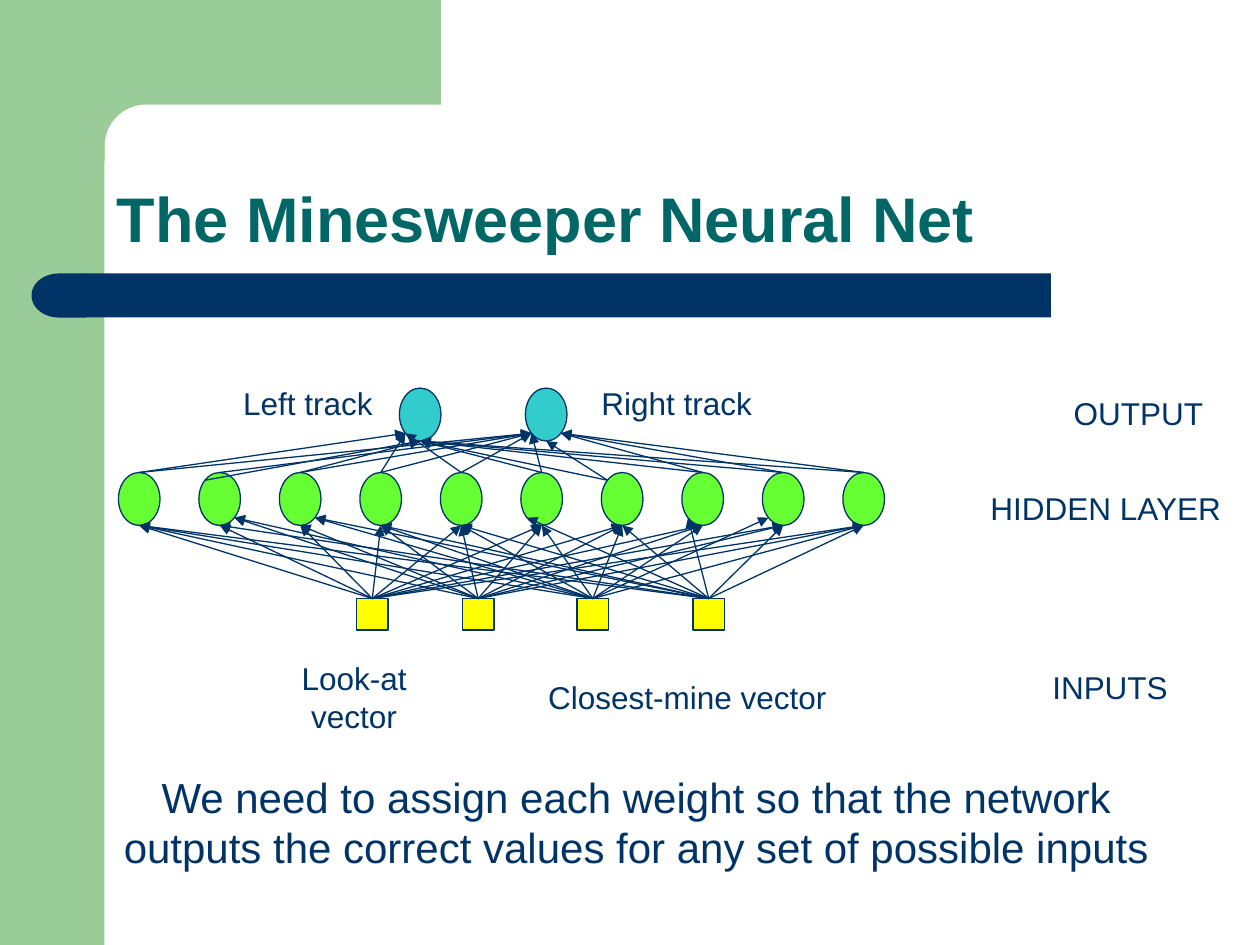
import math

from lxml import etree
from pptx import Presentation
from pptx.dml.color import RGBColor
from pptx.enum.shapes import MSO_CONNECTOR, MSO_SHAPE
from pptx.enum.text import MSO_ANCHOR, MSO_AUTO_SIZE, PP_ALIGN
from pptx.oxml.ns import qn
from pptx.util import Inches, Pt

RECTANGLE, ELLIPSE = MSO_SHAPE.RECTANGLE, MSO_SHAPE.OVAL
DELAY = MSO_SHAPE.FLOWCHART_DELAY
STRAIGHT = MSO_CONNECTOR.STRAIGHT
MIDDLE, BOTTOM = MSO_ANCHOR.MIDDLE, MSO_ANCHOR.BOTTOM
LEFT, CENTER = PP_ALIGN.LEFT, PP_ALIGN.CENTER
FIT_SHAPE = MSO_AUTO_SIZE.SHAPE_TO_FIT_TEXT

COLORS = {
    "band": "99CC99",
    "ink": "003366",
    "title": "006666",
    "output": "33CCCC",
    "hidden": "66FF33",
    "input": "FFFF00",
}
NODE_WIDTH, NODE_HEIGHT, INPUT_SIZE = 0.33, 0.42, 0.25
DIAGONAL = math.sqrt(0.5)
SITES = {
    "T": (0, -1),
    "B": (0, 1),
    "K": (-DIAGONAL, -DIAGONAL),
    "L": (-DIAGONAL, DIAGONAL),
    "R": (DIAGONAL, DIAGONAL),
}
INPUT_ENDS = ["BBBBBBBBBB", "BRBBBBBBBB", "BRRBBBBBLB", "BBRBBLBLBB"]
OUTPUT_STARTS = ["TKTTTTKTTT", "TTTTTTKTTT"]
OUTPUT_ENDS = ["LBBLLBBBBB", "LLLLLLBRRR"]
LABELS = [
    ("Left track", (1.83, 3, 1.23, 0.4)),
    ("Right track", (4.67, 3, 1.4, 0.4)),
    ("Look-at vector", (1.92, 5.33, 1.78, 0.4)),
    ("Closest-mine vector", (4.25, 5.33, 2.41, 0.4)),
    ("OUTPUT", (8.42, 3.08, 1.23, 0.4)),
    ("HIDDEN LAYER", (7.75, 3.83, 2.05, 0.4)),
    ("INPUTS", (8.25, 5.25, 1.12, 0.4)),
]


def color(name):
    return RGBColor.from_string(COLORS[name])


def paint(shape, fill, outlined=False):
    shape.shadow.inherit = False
    shape.fill.solid()
    shape.fill.fore_color.rgb = color(fill)
    if outlined:
        shape.line.color.rgb = color("ink")
        shape.line.width = Pt(0.75)
    else:
        shape.line.fill.background()
    return shape


def add_block(page, kind, box, fill, outlined=False):
    shape = page.shapes.add_shape(kind, *map(Inches, box))
    return paint(shape, fill, outlined)


def add_text(page, text, box, size, ink="ink", bold=False, align=CENTER,
             anchor=MIDDLE, wrap=False, spacing=1.0, fit=FIT_SHAPE):
    frame = page.shapes.add_textbox(*map(Inches, box)).text_frame
    frame_format = {"word_wrap": wrap, "auto_size": fit, "vertical_anchor": anchor}
    for name, value in frame_format.items():
        setattr(frame, name, value)
    para = frame.paragraphs[0]
    para.alignment = align
    para.line_spacing = spacing
    span = para.add_run()
    span.text = text
    for name, value in {"name": "Arial", "size": Pt(size), "bold": bold}.items():
        setattr(span.font, name, value)
    span.font.color.rgb = color(ink)


def add_arrow(page, start, end):
    arrow = page.shapes.add_connector(STRAIGHT, *map(Inches, (*start, *end)))
    arrow.line.color.rgb = color("ink")
    arrow.line.width = Pt(0.75)
    etree.SubElement(arrow.line._get_or_add_ln(), qn("a:tailEnd"), type="triangle")
    etree.SubElement(arrow._element.spPr, qn("a:effectLst"))
    return arrow


def node_site(box, site):
    left, top, width, height = box
    across, down = SITES[site]
    return left + width * (1 + across) / 2, top + height * (1 + down) / 2


def add_corner(page, box):
    left, top, width, height = box
    inner_left, inner_top, radius = 0.83, 0.83, 0.33
    arc = [
        (inner_left + radius * (1 - math.sin(angle)),
         inner_top + radius * (1 - math.cos(angle)))
        for angle in (math.pi / 2 * step / 16 for step in range(17))
    ]
    right, bottom = left + width, top + height
    points = [(right, inner_top), *arc, (inner_left, bottom), (left, bottom), (left, top)]
    builder = page.shapes.build_freeform(Inches(right), Inches(top))
    builder.add_line_segments([(Inches(x), Inches(y)) for x, y in points], close=True)
    paint(builder.convert_to_shape(), "band")


def add_frame(page, box):
    left, top, width, height = box
    add_block(page, RECTANGLE, (left, top, 0.83, height), "band")
    add_corner(page, (left + 0.5, top, 3, 1.28))
    add_block(page, RECTANGLE, (left + 0.67, top + 2.17, 7.67, 0.35), "ink")
    cap = add_block(page, DELAY, (left + 0.25, top + 2.17, 0.43, 0.35), "ink")
    cap.rotation = 180


def add_network(page, box):
    left, top, width, height = box
    step = (width - NODE_WIDTH) / 9
    hidden = [(left + step * column, top + 0.67, NODE_WIDTH, NODE_HEIGHT)
              for column in range(10)]
    outputs = [(left + offset, top, NODE_WIDTH, NODE_HEIGHT) for offset in (2.23, 3.23)]
    for layer, nodes in (("output", outputs), ("hidden", hidden)):
        for node in nodes:
            add_block(page, ELLIPSE, node, layer, True)

    input_top = top + height - INPUT_SIZE
    for offset, ends in zip((1.89, 2.73, 3.64, 4.56), INPUT_ENDS):
        square_box = (left + offset, input_top, INPUT_SIZE, INPUT_SIZE)
        square = add_block(page, RECTANGLE, square_box, "input", True)
        for node, end in zip(hidden, ends):
            arrow = add_arrow(page, node_site(square_box, "T"), node_site(node, end))
            arrow.begin_connect(square, 0)

    for output, starts, ends in zip(outputs, OUTPUT_STARTS, OUTPUT_ENDS):
        for node, start, end in zip(hidden, starts, ends):
            add_arrow(page, node_site(node, start), node_site(output, end))


def main():
    deck = Presentation()
    deck.slide_width, deck.slide_height = Inches(10), Inches(7.5)
    page = deck.slides.add_slide(deck.slide_layouts[6])
    add_frame(page, (0, 0, 10, 7.5))
    add_text(page, "The Minesweeper Neural Net", (0.83, 0.83, 8.67, 1.25), 36,
             ink="title", bold=True, align=LEFT, anchor=BOTTOM, wrap=True,
             spacing=0.9, fit=MSO_AUTO_SIZE.NONE)
    add_network(page, (0.94, 3.08, 6.08, 1.92))
    for text, box in LABELS:
        add_text(page, text, box, 18)
    add_text(page, "We need to assign each weight so that the network outputs "
             "the correct values for any set of possible inputs",
             (0.75, 6.07, 8.6, 0.9), 24, wrap=True)
    deck.save("out.pptx")


if __name__ == "__main__":
    main()
